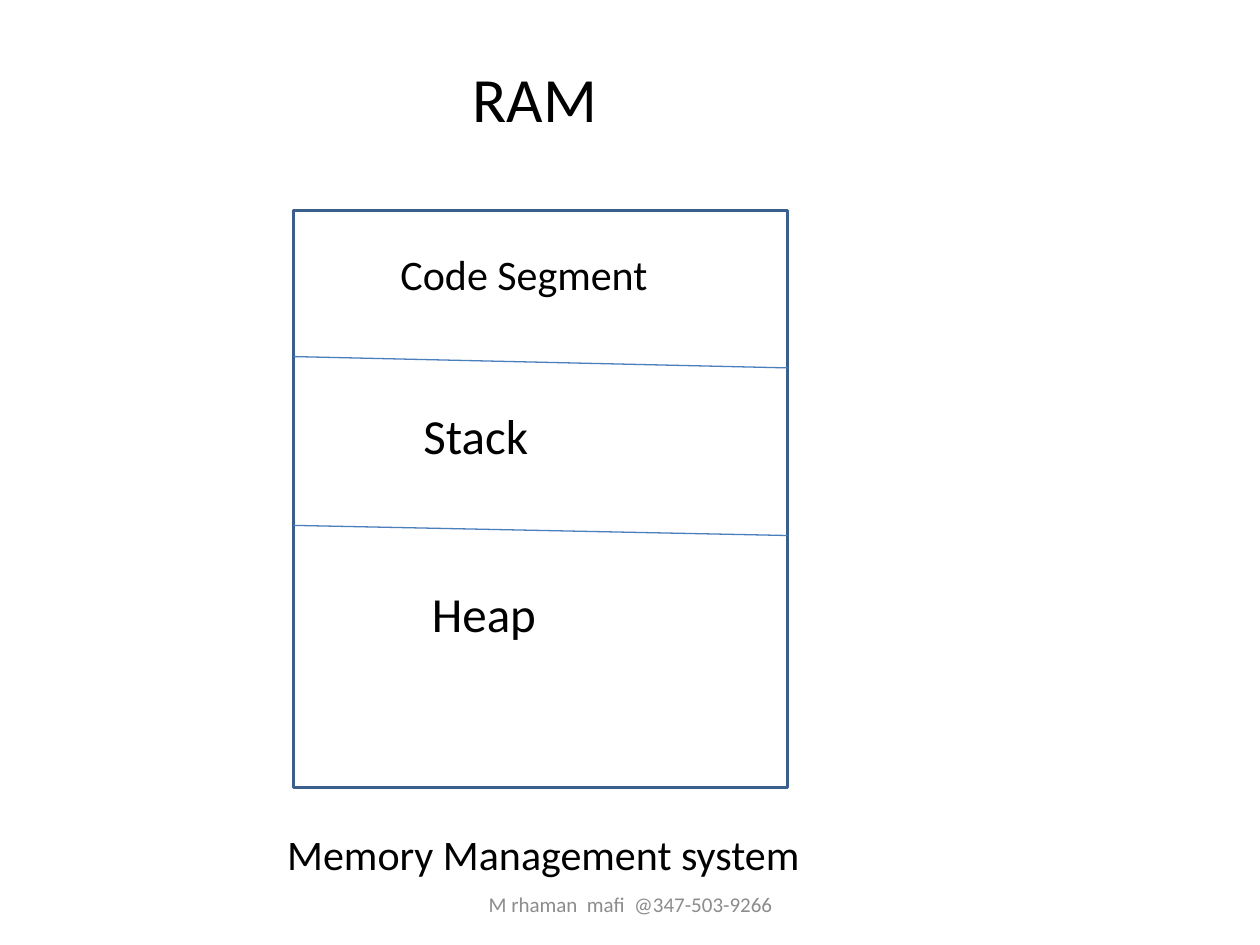
from pptx import Presentation
from pptx.dml.color import RGBColor
from pptx.enum.shapes import MSO_CONNECTOR, MSO_SHAPE
from pptx.enum.text import MSO_ANCHOR, MSO_AUTO_SIZE, PP_ALIGN
from pptx.oxml.ns import qn
from pptx.util import Inches, Pt
from lxml import etree

WHITE = RGBColor(0xFF, 0xFF, 0xFF)
BLACK = RGBColor(0x00, 0x00, 0x00)
GRAY = RGBColor(0x8C, 0x8C, 0x8C)
BORDER_BLUE = RGBColor(0x3A, 0x5F, 0x8C)
DIVIDER_BLUE = RGBColor(0x4B, 0x7E, 0xBC)

RAM_LEFT, RAM_TOP, RAM_WIDTH, RAM_HEIGHT = 2.33, 1.67, 3.92, 4.58


def write_text(box, text, size, indent=0.1, color=BLACK,
               align=PP_ALIGN.LEFT, anchor=MSO_ANCHOR.TOP):
    frame = box.text_frame
    frame_format = {
        "word_wrap": True,
        "auto_size": MSO_AUTO_SIZE.NONE,
        "vertical_anchor": anchor,
        "margin_left": Inches(indent),
    }
    for attribute, value in frame_format.items():
        setattr(frame, attribute, value)
    frame.text = text
    paragraph = frame.paragraphs[0]
    paragraph.alignment = align
    font = paragraph.runs[0].font
    for attribute, value in {"name": "Calibri", "size": Pt(size)}.items():
        setattr(font, attribute, value)
    font.color.rgb = color


prs = Presentation()
prs.slide_width, prs.slide_height = Inches(10), Inches(7.5)
slide = prs.slides.add_slide(prs.slide_layouts[5])

# Title
title = slide.shapes.title
title_place = {"left": 3.08, "top": 0.42, "width": 2.75, "height": 0.71}
for attribute, value in title_place.items():
    setattr(title, attribute, Inches(value))
write_text(title, "RAM", 36, indent=0.67)

# Memory block
ram = slide.shapes.add_shape(
    MSO_SHAPE.RECTANGLE, Inches(RAM_LEFT), Inches(RAM_TOP),
    Inches(RAM_WIDTH), Inches(RAM_HEIGHT))
ram.shadow.inherit = False
ram.fill.solid()
ram.fill.fore_color.rgb = WHITE
ram.line.color.rgb = BORDER_BLUE
ram.line.width = Pt(2)

# Slightly sloping dividers between the segments
for start_y, end_y in [(2.83, 2.92), (4.17, 4.25)]:
    divider = slide.shapes.add_connector(
        MSO_CONNECTOR.STRAIGHT, Inches(RAM_LEFT), Inches(start_y),
        Inches(RAM_LEFT + RAM_WIDTH), Inches(end_y))
    divider.line.color.rgb = DIVIDER_BLUE
    divider.line.width = Pt(0.75)
    etree.SubElement(divider._element.spPr, qn("a:effectLst"))

# Segment labels, caption and footer: text, place, format
footer_format = {"color": GRAY, "align": PP_ALIGN.CENTER,
                 "anchor": MSO_ANCHOR.MIDDLE}
labels = [
    ("Code Segment", (3.08, 1.92, 2.17, 0.5), {"size": 24}),
    ("Stack", (3.08, 3.17, 1.75, 0.57), {"size": 28, "indent": 0.28}),
    ("Heap", (3.33, 4.58, 1.42, 0.57), {"size": 28}),
    ("Memory Management system", (1.88, 6.53, 5.17, 0.5),
     {"size": 24, "indent": 0.4}),
    ("M rhaman  mafi  @347-503-9266", (3.42, 7, 3.17, 0.35),
     {"size": 12, **footer_format}),
]
for text, place, text_format in labels:
    label = slide.shapes.add_textbox(*(Inches(value) for value in place))
    write_text(label, text, **text_format)

prs.save("out.pptx")
